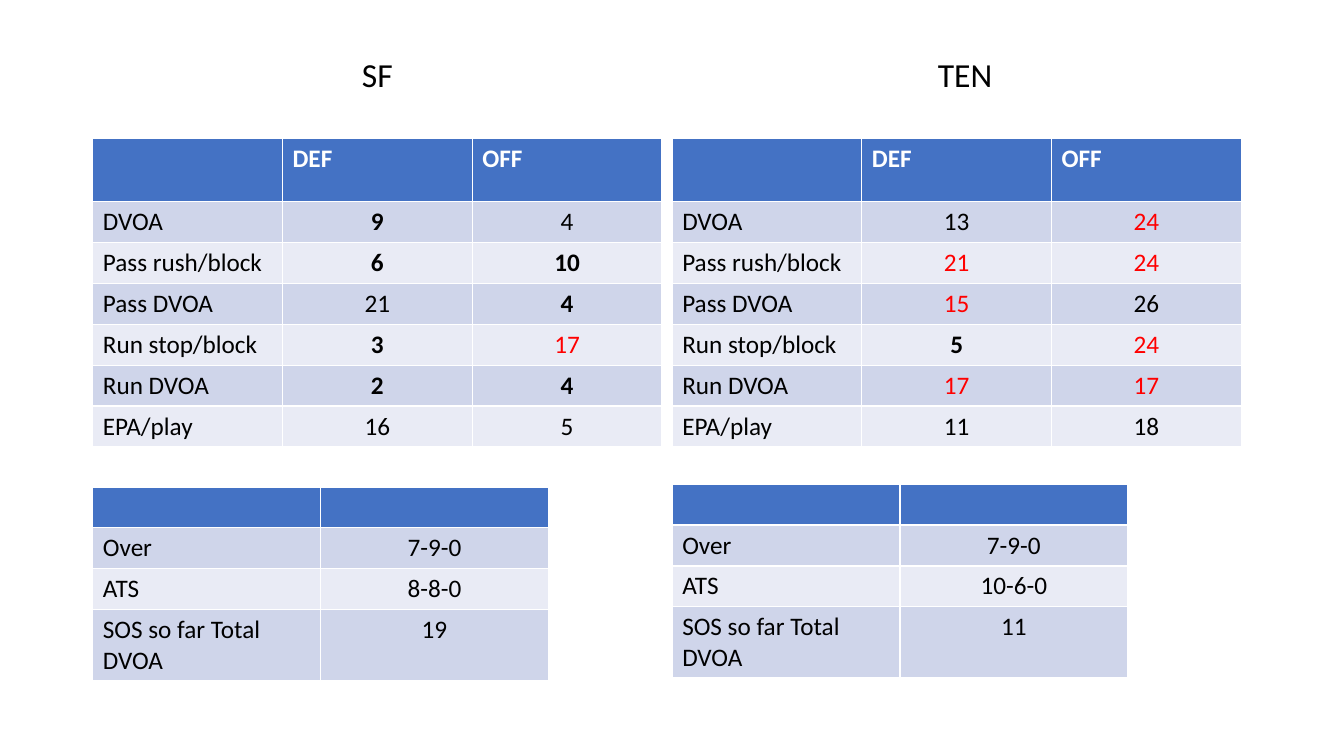
from pptx import Presentation
from pptx.dml.color import RGBColor
from pptx.enum.text import MSO_ANCHOR, PP_ALIGN as ALIGN
from pptx.util import Cm, Pt

BLACK = RGBColor(0x00, 0x00, 0x00)
WHITE = RGBColor(0xFF, 0xFF, 0xFF)
RED = RGBColor(0xFF, 0x00, 0x00)
BLUE = RGBColor(0x44, 0x72, 0xC4)
BANDS = (RGBColor(0xCF, 0xD5, 0xEA), RGBColor(0xE9, 0xEB, 0xF5))

STATS = ("DVOA", "Pass rush/block", "Pass DVOA",
         "Run stop/block", "Run DVOA", "EPA/play")
RECORDS = ("Over", "ATS", "SOS so far Total DVOA")
RANK_HEADER = ("", "DEF", "OFF")
RECORD_HEADER = ("", "")

# A trailing "+" marks a strength (bold), a trailing "-" a weakness (red).
SF_RANKS = (("9+", "4"), ("6+", "10+"), ("21", "4+"),
            ("3+", "17-"), ("2+", "4+"), ("16", "5"))
TEN_RANKS = (("13", "24-"), ("21-", "24-"), ("15-", "26"),
             ("5+", "24-"), ("17-", "17-"), ("11", "18"))
SF_RECORDS = (("7-9-0",), ("8-8-0",), ("19",))
TEN_RECORDS = (("7-9-0",), ("10-6-0",), ("11",))

RANK_ROWS = (1.6,) + (1.03,) * 6
RECORD_ROWS = (1.03,) * 3 + (1.78,)


def add_text(tf, text, size=18, color=BLACK, bold=False, align=ALIGN.LEFT):
    p = tf.paragraphs[0]
    p.alignment = align
    r = p.add_run()
    r.text = text
    r.font.name = "Calibri"
    r.font.size = Pt(size)
    r.font.bold = bold
    r.font.color.rgb = color
    return p


def add_heading(s, text, x, y, w, h):
    sp = s.shapes.add_textbox(Cm(x), Cm(y), Cm(w), Cm(h))
    tf = sp.text_frame
    tf.word_wrap = True
    tf.vertical_anchor = MSO_ANCHOR.BOTTOM
    p = add_text(tf, text, size=24, align=ALIGN.CENTER)
    p.line_spacing = 0.9
    p.space_before = Pt(10)


def add_grid(s, x, y, col_w, row_heights, header, labels, values):
    """Add a table with a blue header, banded rows and centred values."""
    n_cols = len(header)
    frame = s.shapes.add_table(len(row_heights), n_cols, Cm(x), Cm(y),
                               Cm(col_w * n_cols), Cm(sum(row_heights)))
    table = frame.table
    for col in table.columns:
        col.width = Cm(col_w)
    for row, height in zip(table.rows, row_heights):
        row.height = Cm(height)

    for c, title in enumerate(header):
        cell = table.cell(0, c)
        cell.fill.solid()
        cell.fill.fore_color.rgb = BLUE
        if title:
            add_text(cell.text_frame, title, color=WHITE, bold=True)

    for i, (label, row_values) in enumerate(zip(labels, values)):
        for c, text in enumerate((label, *row_values)):
            cell = table.cell(i + 1, c)
            cell.fill.solid()
            cell.fill.fore_color.rgb = BANDS[i % 2]
            add_text(cell.text_frame, text.rstrip("+-"),
                     color=RED if text.endswith("-") else BLACK,
                     bold=text.endswith("+"),
                     align=ALIGN.CENTER if c else ALIGN.LEFT)


def add_team(s, name, x, ranks, records, heading_dx, record_y):
    """Place one team's heading and two tables from the left edge x."""
    add_heading(s, name, x + heading_dx, 0.23, 14.34, 2.29)
    add_grid(s, x, 3.48, 4.78, RANK_ROWS, RANK_HEADER, STATS, ranks)
    add_grid(s, x, record_y, 5.74, RECORD_ROWS, RECORD_HEADER,
             RECORDS, records)


def main():
    prs = Presentation()
    prs.slide_width, prs.slide_height = Cm(33.87), Cm(19.05)
    s = prs.slides.add_slide(prs.slide_layouts[6])
    add_team(s, "SF", 2.34, SF_RANKS, SF_RECORDS,
             heading_dx=0, record_y=12.27)
    add_team(s, "TEN", 16.94, TEN_RANKS, TEN_RECORDS,
             heading_dx=0.21, record_y=12.2)
    prs.save("out.pptx")


if __name__ == "__main__":
    main()
